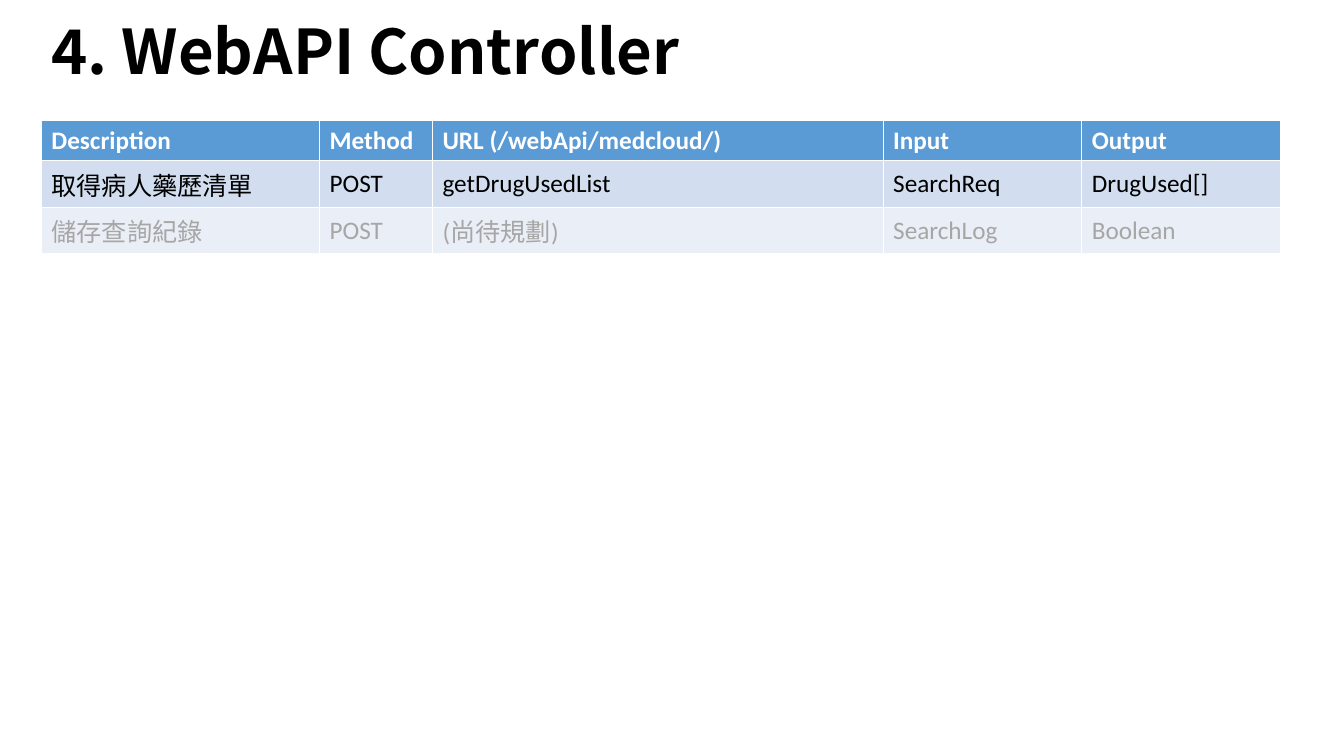
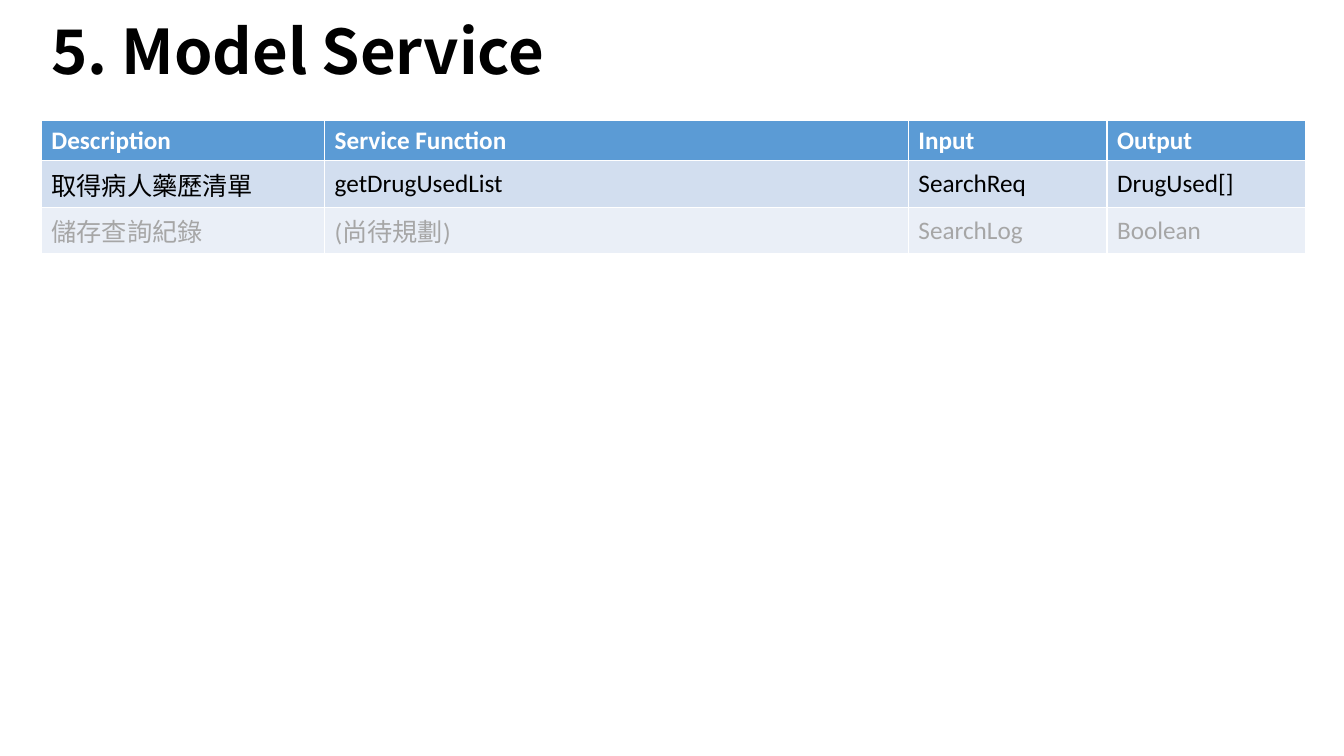
from dataclasses import dataclass

import pptx
import pptx.dml.color
import pptx.enum.text
import pptx.oxml.ns
import pptx.presentation
import pptx.slide
import pptx.text.text
import pptx.util
from lxml import etree
from pptx.util import Inches

COLOURS = {
    "black": "000000",
    "white": "FFFFFF",
    "planned": "A6A6A6",
    "header": "5B9BD5",
    "odd_row": "D2DEEF",
    "even_row": "EAEFF7",
}
LATIN_FONT = "Calibri"
CJK_FONT = "Noto Sans CJK SC"
LEFT = Inches(0.41)
ROW_HEIGHT = Inches(0.4)
TITLE_ONLY = 5


@dataclass(frozen=True)
class RowStyle:
    fill: str
    text: str
    bold: bool = False


@dataclass(frozen=True)
class ApiPage:
    title: str
    column_widths: tuple[float, ...]
    rows: tuple[tuple[str, ...], ...]


ROW_STYLES = (
    RowStyle("header", "white", True),
    RowStyle("odd_row", "black"),
    RowStyle("even_row", "planned"),
)

PAGES = (
    ApiPage(
        "4. WebAPI Controller",
        (2.76, 1.12, 4.47, 1.97, 1.97),
        (
            ("Description", "Method", "URL (/webApi/medcloud/)", "Input", "Output"),
            ("取得病人藥歷清單", "POST", "getDrugUsedList", "SearchReq", "DrugUsed[]"),
            ("儲存查詢紀錄", "POST", "(尚待規劃)", "SearchLog", "Boolean"),
        ),
    ),
    ApiPage(
        "5. Model Service",
        (2.81, 5.79, 1.97, 1.97),
        (
            ("Description", "Service Function", "Input", "Output"),
            ("取得病人藥歷清單", "getDrugUsedList", "SearchReq", "DrugUsed[]"),
            ("儲存查詢紀錄", "(尚待規劃)", "SearchLog", "Boolean"),
        ),
    ),
)


def colour(name: str) -> pptx.dml.color.RGBColor:
    return pptx.dml.color.RGBColor.from_string(COLOURS[name])


def style_paragraph(
    paragraph: pptx.text.text._Paragraph, latin: str, size: int, text_colour: str, bold: bool
) -> None:
    font = paragraph.font
    font.name = latin
    font.size = pptx.util.Pt(size)
    font.bold = bold
    font.color.rgb = colour(text_colour)
    defaults = paragraph._p.pPr.find(pptx.oxml.ns.qn("a:defRPr"))
    etree.SubElement(defaults, pptx.oxml.ns.qn("a:ea"), typeface=CJK_FONT)


def add_title(slide: pptx.slide.Slide, text: str) -> None:
    title = slide.shapes.title
    title.left, title.top = LEFT, Inches(-0.1)
    title.width, title.height = Inches(9.3), Inches(1.28)
    frame = title.text_frame
    frame.text = text
    frame.auto_size = pptx.enum.text.MSO_AUTO_SIZE.NONE
    frame.vertical_anchor = pptx.enum.text.MSO_ANCHOR.MIDDLE
    heading = frame.paragraphs[0]
    heading.alignment = pptx.enum.text.PP_ALIGN.LEFT
    heading.line_spacing = 0.9
    style_paragraph(heading, CJK_FONT, 44, "black", True)


def add_api_table(slide: pptx.slide.Slide, page: ApiPage) -> None:
    table = slide.shapes.add_table(
        len(page.rows),
        len(page.column_widths),
        LEFT,
        Inches(1.19),
        Inches(sum(page.column_widths)),
        ROW_HEIGHT * len(page.rows),
    ).table
    for column, width in zip(table.columns, page.column_widths):
        column.width = Inches(width)
    for row, texts, style in zip(table.rows, page.rows, ROW_STYLES):
        row.height = ROW_HEIGHT
        for cell, text in zip(row.cells, texts):
            cell.text = text
            cell.vertical_anchor = pptx.enum.text.MSO_ANCHOR.MIDDLE
            cell.fill.solid()
            cell.fill.fore_color.rgb = colour(style.fill)
            style_paragraph(
                cell.text_frame.paragraphs[0], LATIN_FONT, 18, style.text, style.bold
            )


def add_page(presentation: pptx.presentation.Presentation, page: ApiPage) -> None:
    slide = presentation.slides.add_slide(presentation.slide_layouts[TITLE_ONLY])
    add_title(slide, page.title)
    add_api_table(slide, page)


def main() -> None:
    presentation = pptx.Presentation()
    presentation.slide_width = Inches(13.33)
    presentation.slide_height = Inches(7.5)
    for page in PAGES:
        add_page(presentation, page)
    presentation.save("out.pptx")


if __name__ == "__main__":
    main()
